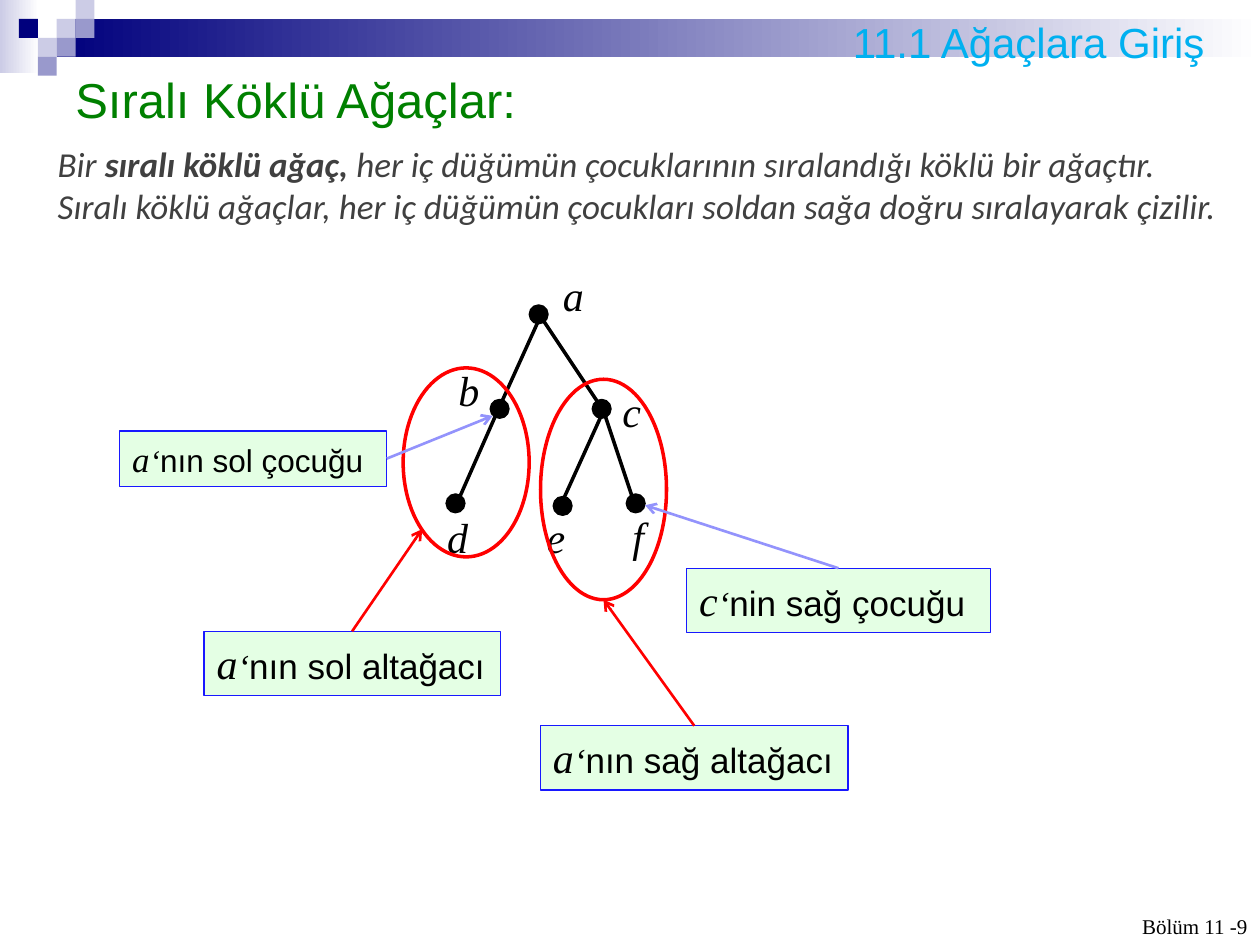
from lxml import etree
from pptx import Presentation
from pptx import util as u
from pptx.dml import color
from pptx.enum import shapes, text
from pptx.oxml import ns

COLUMNS, ROWS = 100, 75
SERIF, SANS, BODY = "Times New Roman", "Arial", "Calibri"
BLACK, RED, NAVY = "000000", "FF0000", "00007D"
PALE, MIDDLE, WHITE = "CCCCE6", "9999CC", "FFFFFF"
MINT, BLUE, LILAC = "CCFFCC", "1818FF", "9393FC"


def rgb(value):
    return color.RGBColor.from_string(value)


class TreeSlide:
    """Draws on one slide; every length is in grid columns and rows."""

    def __init__(self, deck):
        self.cell_width = deck.slide_width / COLUMNS
        self.cell_height = deck.slide_height / ROWS
        self.shapes = deck.slides.add_slide(deck.slide_layouts[6]).shapes

    def place(self, *lengths):
        cells = (self.cell_width, self.cell_height)
        return [u.Emu(round(n * cells[i % 2])) for i, n in enumerate(lengths)]

    def shape(self, kind, area, fill=None, line=None, width=0.75, alpha=None):
        shape = self.shapes.add_shape(kind, *self.place(*area))
        shape.shadow.inherit = False
        if fill is None:
            shape.fill.background()
        elif isinstance(fill, tuple):
            shape.fill.gradient()
            shape.fill.gradient_angle = 0
            for stop, value in zip(shape.fill.gradient_stops, fill):
                stop.color.rgb = rgb(value)
        else:
            shape.fill.solid()
            shape.fill.fore_color.rgb = rgb(fill)
        if alpha is not None:
            tint = shape._element.spPr.find(".//" + ns.qn("a:srgbClr"))
            etree.SubElement(tint, ns.qn("a:alpha"), val=str(alpha * 1000))
        if line:
            shape.line.color.rgb = rgb(line)
            shape.line.width = u.Pt(width)
        else:
            shape.line.fill.background()
        return shape

    def rectangle(self, area, fill, **style):
        return self.shape(shapes.MSO_SHAPE.RECTANGLE, area, fill, **style)

    def ellipse(self, area, fill=None, line=BLACK, width=0.75):
        return self.shape(shapes.MSO_SHAPE.OVAL, area, fill, line, width)

    def line(self, start, end, value=BLACK, width=2, arrow=False):
        line = self.shapes.add_connector(
            shapes.MSO_CONNECTOR.STRAIGHT, *self.place(*start, *end))
        line.line.color.rgb = rgb(value)
        line.line.width = u.Pt(width)
        properties = line._element.spPr
        if arrow:
            outline = properties.find(ns.qn("a:ln"))
            etree.SubElement(outline, ns.qn("a:tailEnd"), type="arrow")
        etree.SubElement(properties, ns.qn("a:effectLst"))
        return line

    def fill_text(self, box, spans, size, font, value=BLACK, italic=False,
                  wrap=False, grow=True, align=text.PP_ALIGN.LEFT,
                  anchor=text.MSO_ANCHOR.TOP):
        """Spans are (words, font changes); the rest is the paragraph's."""
        frame = box.text_frame
        frame.word_wrap = wrap
        frame.vertical_anchor = anchor
        frame.auto_size = (text.MSO_AUTO_SIZE.SHAPE_TO_FIT_TEXT if grow
                           else text.MSO_AUTO_SIZE.NONE)
        para = frame.paragraphs[0]
        para.alignment = align
        para.font.size = u.Pt(size)
        para.font.name = font
        para.font.italic = italic
        para.font.color.rgb = rgb(value)
        for words, changes in spans:
            span = para.add_run()
            span.text = words
            for name, change in changes.items():
                setattr(span.font, name, change)

    def label(self, area, words, size, font, **style):
        box = self.shapes.add_textbox(*self.place(*area))
        spans = [(words, {})] if isinstance(words, str) else words
        self.fill_text(box, spans, size, font, **style)

    def callout(self, area, node, words, size, small, side, start, end, value):
        box = self.rectangle(area, MINT, line=BLUE, alpha=52)
        self.fill_text(box, [
            (node, {}),
            ("‘", {"size": u.Pt(small)}),
            (words, {"size": u.Pt(small), "name": SANS, "italic": False}),
        ], size, SERIF, italic=True)
        pointer = self.line(start, end, value, width=1.5, arrow=True)
        pointer.begin_connect(box, side)


def main():
    deck = Presentation()
    deck.slide_width, deck.slide_height = u.Inches(10), u.Inches(7.5)
    slide = TreeSlide(deck)

    # Header band and its mosaic of squares
    square = 1.5
    slide.rectangle((0, 0, 3.1, 5.8), (PALE, WHITE))
    slide.rectangle((4.5, 1.5, 95.5, 3), (NAVY, WHITE))
    mosaic = [(3, 1, PALE), (4, 0, PALE), (4, 1, MIDDLE), (2, 2, PALE),
              (1, 1, NAVY), (3, 2, MIDDLE), (2, 3, MIDDLE)]
    for column, row, value in mosaic:
        slide.rectangle((column * square, row * square, square, square), value)

    # Tree: corner of the dot, point where edges meet, area of the label
    nodes = {
        "a": ((42, 24.2), (42.9, 25.1), (43.7, 20.9, 3.7, 5)),
        "b": ((38.9, 31.7), (39.5, 32.6), (35.4, 28.4, 3.7, 5.1)),
        "c": ((47, 31.7), (47.9, 32.6), (48.4, 30.1, 3.5, 5.1)),
        "d": ((35.4, 39.2), (36.2, 40.1), (34.5, 40.1, 3.7, 5.1)),
        "e": ((43.9, 39.4), (44.5, 40.1), (42.4, 40.1, 3.5, 5.1)),
        "f": ((49.7, 39.2), (50.4, 40.1), (49.2, 40, 3, 5.1)),
    }
    for parent, child in ("ab", "ac", "bd", "ce", "cf"):
        slide.line(nodes[parent][1], nodes[child][1])
    for name, (corner, _, area) in nodes.items():
        slide.ellipse((*corner, 1.5, 1.5), BLACK)
        slide.label(area, name, 24, SERIF, italic=True)

    # Subtree outlines
    for area in ((32, 29.2, 10, 15), (42.9, 30.1, 10, 17.5)):
        slide.ellipse(area, line=RED, width=2)

    # Callouts with arrows; side 0 is the top, 3 the right
    slide.callout((9.5, 34.2, 21.2, 4.4), "a", "nın sol çocuğu", 20, 18,
                  3, (30.7, 36.4), (39.1, 33), LILAC)
    slide.callout((54.5, 45.1, 24.1, 5.1), "c", "nin sağ çocuğu", 24, 20,
                  0, (66.6, 45.1), (51.2, 40.1), LILAC)
    slide.callout((16.2, 50.1, 23.5, 5.1), "a", "nın sol altağacı", 24, 20,
                  0, (28, 50.1), (33.5, 42), RED)
    slide.callout((42.9, 57.6, 24.4, 5.1), "a", "nın sağ altağacı", 24, 20,
                  0, (55.1, 57.6), (47.9, 47.6), RED)

    # Heading, definition, section title and page number
    slide.label((5, 5, 38.7, 5.7), "Sıralı Köklü Ağaçlar:", 28, SANS,
                value="008000")
    slide.label((3.6, 10.8, 94.7, 7.7), [
        ("Bir ", {}),
        ("sıralı köklü ağaç, ", {"bold": True}),
        ("her iç düğümün çocuklarının sıralandığı köklü bir ağaçtır. "
         "Sıralı köklü ağaçlar, her iç düğümün çocukları soldan sağa doğru "
         "sıralayarak çizilir.", {}),
    ], 20, BODY, value="404040", italic=True, wrap=True)
    slide.label((66.7, 0.8, 30.8, 4), "11.1 Ağaçlara Giriş", 24, SANS,
                value="00B0F0", wrap=True, grow=False)
    slide.label((76.7, 70, 23.3, 5), "Bölüm 11 -9", 12, SERIF, wrap=True,
                grow=False, align=text.PP_ALIGN.RIGHT,
                anchor=text.MSO_ANCHOR.BOTTOM)

    deck.save("out.pptx")


if __name__ == "__main__":
    main()
